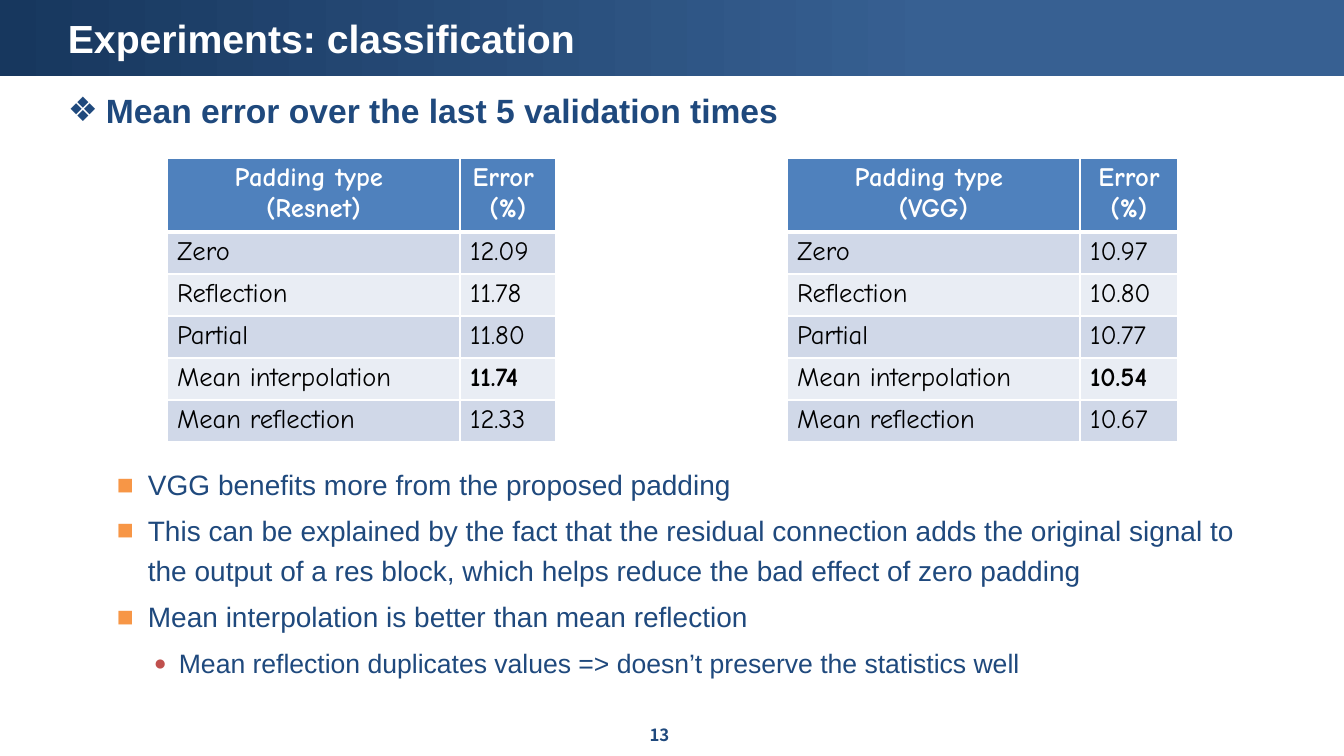
from dataclasses import dataclass

from pptx import Presentation
from pptx.dml.color import RGBColor
from pptx.enum.shapes import MSO_SHAPE
from pptx.enum.text import MSO_ANCHOR, PP_ALIGN
from pptx.oxml import parse_xml
from pptx.oxml.ns import nsdecls
from pptx.util import Emu, Pt

RECT = MSO_SHAPE.RECTANGLE
TOP, MIDDLE = MSO_ANCHOR.TOP, MSO_ANCHOR.MIDDLE
LEFT, CENTER = PP_ALIGN.LEFT, PP_ALIGN.CENTER
SCALE = 914400 / 100.8  # EMU per px


@dataclass(frozen=True)
class Theme:
    white: str = "FFFFFF"
    black: str = "000000"
    navy: str = "1F497D"
    dark: str = "17375E"
    steel: str = "376092"
    head: str = "4F81BD"
    bands: tuple[str, str] = ("D0D8E8", "E9EDF4")
    orange: str = "F79646"
    red: str = "C0504D"
    sans: str = "Arial"
    comic: str = "Comic Neue"
    page: str = "Noto Sans CJK KR"
    title: int = 28
    topic: int = 24
    point: int = 20
    detail: int = 19
    cell: int = 19
    number: int = 12


THEME = Theme()


@dataclass(frozen=True)
class Box:
    x: int
    y: int
    w: int
    h: int


@dataclass(frozen=True)
class Level:
    mark: str
    tint: str
    size: int
    indent: int
    hang: int
    bold: bool = False
    scale: int = 100


@dataclass(frozen=True)
class Grid:
    x: int
    cols: tuple[int, int]
    heads: tuple[str, str]
    errors: tuple[str, ...]


TOPIC = Level("❖", THEME.navy, THEME.topic, 38, 38, bold=True)
POINT = Level("■", THEME.orange, THEME.point, 80, 31)
DETAIL = Level("●", THEME.red, THEME.detail, 111, 25, scale=80)

HEADING = [(TOPIC, "Mean error over the last 5 validation times")]
FINDINGS = [
    (POINT, "VGG benefits more from the proposed padding"),
    (POINT, "This can be explained by the fact that the residual connection adds "
            "the original signal to the output of a res block, which helps reduce "
            "the bad effect of zero padding"),
    (POINT, "Mean interpolation is better than mean reflection"),
    (DETAIL, "Mean reflection duplicates values => doesn’t preserve the statistics well"),
]

KINDS = ("Zero", "Reflection", "Partial", "Mean interpolation", "Mean reflection")
GRIDS = [
    Grid(167, (293, 96), ("Padding type \n(Resnet)", "Error \n(%)"),
         ("12.09", "11.78", "11.80", "11.74", "12.33")),
    Grid(787, (293, 98), ("Padding type \n(VGG)", "Error\n(%)"),
         ("10.97", "10.80", "10.77", "10.54", "10.67")),
]
GRID_TOP, HEAD_H, ROW_H = 158, 70, 41


def px(n: int) -> Emu:
    return Emu(round(n * SCALE))


def place(box: Box) -> tuple[Emu, ...]:
    return px(box.x), px(box.y), px(box.w), px(box.h)


def style(par, face: str, size: int, tint: str, bold: bool, align=LEFT) -> None:
    par.alignment = align
    font = par.font
    font.name, font.size, font.bold = face, Pt(size), bold
    font.color.rgb = RGBColor.from_string(tint)


def add_frame(slide, box: Box, anchor):
    frame = slide.shapes.add_textbox(*place(box)).text_frame
    frame.word_wrap = True
    frame.vertical_anchor = anchor
    return frame


def add_label(slide, box: Box, text: str, face: str, size: int, tint: str, align) -> None:
    par = add_frame(slide, box, MIDDLE).paragraphs[0]
    par.text = text
    style(par, face, size, tint, True, align)


def add_mark(par, level: Level) -> None:
    props = par._p.get_or_add_pPr()
    props.set("marL", str(px(level.indent)))
    props.set("indent", str(-px(level.hang)))
    for tag, inner in (
        ("buClr", f'><a:srgbClr val="{level.tint}"/></a:buClr>'),
        ("buSzPct", f' val="{level.scale * 1000}"/>'),
        ("buFont", f' typeface="{THEME.sans}"/>'),
        ("buChar", f' char="{level.mark}"/>'),
    ):
        props.append(parse_xml(f'<a:{tag} {nsdecls("a")}{inner}'))


def add_list(slide, box: Box, items: list[tuple[Level, str]]) -> None:
    frame = add_frame(slide, box, TOP)
    for i, (level, text) in enumerate(items):
        par = frame.add_paragraph() if i else frame.paragraphs[0]
        par.text = text
        add_mark(par, level)
        style(par, THEME.sans, level.size, THEME.navy, level.bold)
        par.line_spacing = Pt(28.8)
        par.space_before = Pt(level.size * 0.2 if i else 0)


def add_edges(cell, base: int) -> None:
    props = cell._tc.get_or_add_tcPr()
    for i, (side, width) in enumerate((("L", 1), ("R", 1), ("T", 1), ("B", base))):
        props.insert(i, parse_xml(
            f'<a:ln{side} {nsdecls("a")} w="{Pt(width)}"><a:solidFill>'
            f'<a:srgbClr val="{THEME.white}"/></a:solidFill></a:ln{side}>'))


def fill_cell(cell, text: str, fill: str, tint: str, bold: bool, align, base: int) -> None:
    cell.text = text
    cell.fill.solid()
    cell.fill.fore_color.rgb = RGBColor.from_string(fill)
    add_edges(cell, base)
    for par in cell.text_frame.paragraphs:
        style(par, THEME.comic, THEME.cell, tint, bold, align)


def add_grid(slide, grid: Grid) -> None:
    box = Box(grid.x, GRID_TOP, sum(grid.cols), HEAD_H + ROW_H * len(KINDS))
    table = slide.shapes.add_table(len(KINDS) + 1, 2, *place(box)).table
    for col, width in zip(table.columns, grid.cols):
        col.width = px(width)
    for i, row in enumerate(table.rows):
        row.height = px(ROW_H if i else HEAD_H)
    for c, text in enumerate(grid.heads):
        fill_cell(table.cell(0, c), text, THEME.head, THEME.white, True, CENTER, 3)
    best = min(grid.errors, key=float)
    for r, pair in enumerate(zip(KINDS, grid.errors)):
        for c, text in enumerate(pair):
            fill_cell(table.cell(r + 1, c), text, THEME.bands[r % 2], THEME.black,
                      text == best, LEFT, 1)


def add_banner(slide, box: Box) -> None:
    bar = slide.shapes.add_shape(RECT, *place(box))
    bar.shadow.inherit = False
    bar.line.fill.background()
    bar.fill.gradient()
    bar.fill.gradient_angle = 0
    stops = ((0, THEME.dark), (0.7, THEME.steel))
    for stop, (pos, tint) in zip(bar.fill.gradient_stops, stops):
        stop.position = pos
        stop.color.rgb = RGBColor.from_string(tint)


def main() -> None:
    deck = Presentation()
    deck.slide_width, deck.slide_height = px(1344), px(756)
    slide = deck.slides.add_slide(deck.slide_layouts[6])

    # Title bar
    add_banner(slide, Box(0, 0, 1344, 76))
    add_label(slide, Box(58, 11, 1218, 54), "Experiments: classification",
              THEME.sans, THEME.title, THEME.white, LEFT)

    # Heading and findings
    add_list(slide, Box(58, 85, 1218, 50), HEADING)
    add_list(slide, Box(58, 456, 1218, 240), FINDINGS)

    # Error tables
    for grid in GRIDS:
        add_grid(slide, grid)

    # Page number
    add_label(slide, Box(503, 718, 313, 34), "13",
              THEME.page, THEME.number, THEME.navy, CENTER)

    deck.save("out.pptx")


if __name__ == "__main__":
    main()
